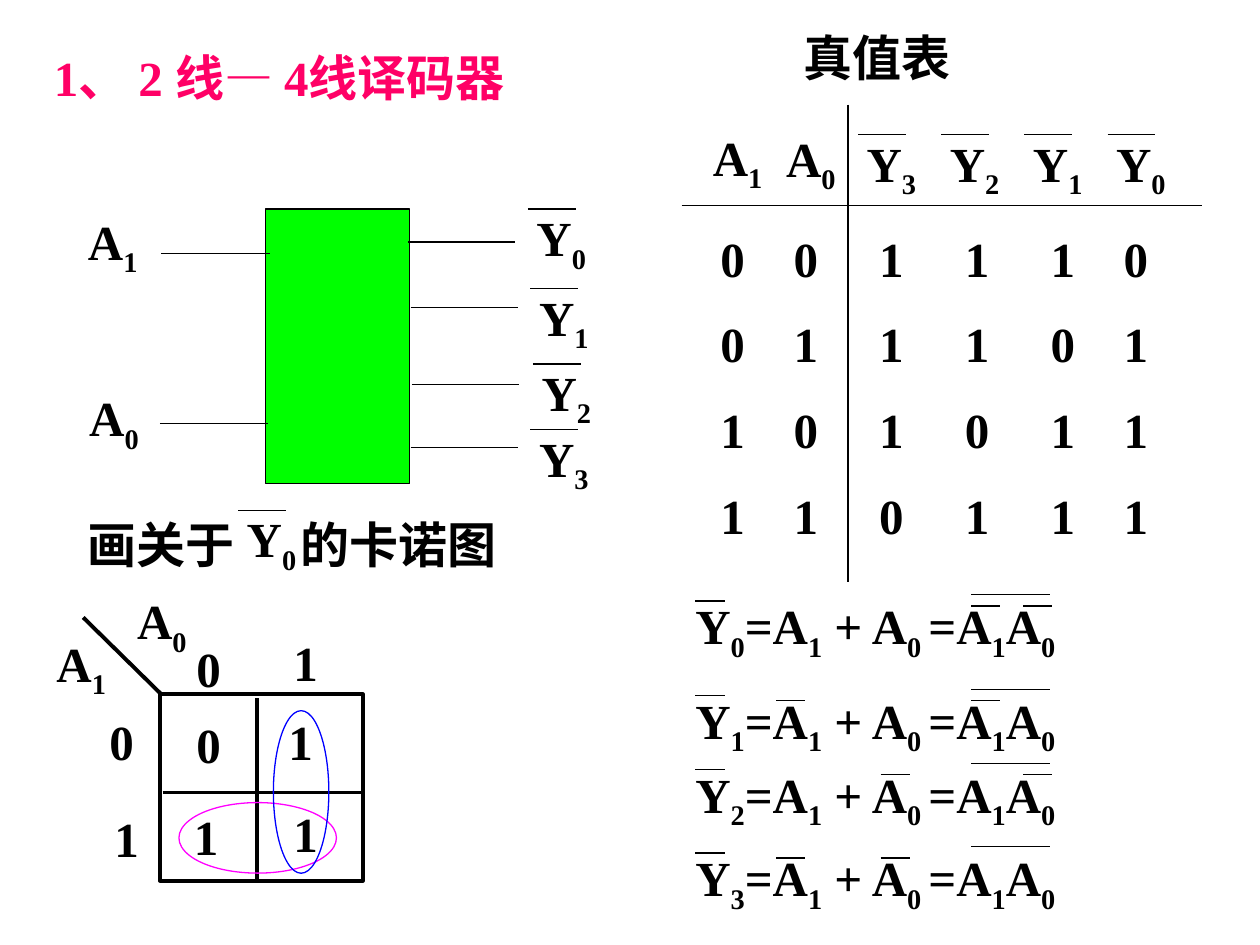
from lxml.etree import SubElement
from pptx import Presentation
from pptx.dml.color import RGBColor
from pptx.enum.shapes import MSO_CONNECTOR, MSO_SHAPE
from pptx.enum.text import MSO_ANCHOR, MSO_AUTO_SIZE
from pptx.oxml.ns import qn
from pptx.util import Inches, Pt

BLACK = RGBColor(0x00, 0x00, 0x00)
WHITE = RGBColor(0xFF, 0xFF, 0xFF)
GREEN = RGBColor(0x00, 0xFF, 0x00)
PINK = RGBColor(0xFF, 0x00, 0x66)
MAGENTA = RGBColor(0xFF, 0x00, 0xFF)
BLUE = RGBColor(0x00, 0x00, 0xFF)
THIN, THICK = 0.75, 2.25
FONT = {"name": "Times New Roman", "size": Pt(28), "bold": True}
FRAME = {"word_wrap": True, "auto_size": MSO_AUTO_SIZE.SHAPE_TO_FIT_TEXT}


def apply(target, values):
    for name, value in values.items():
        setattr(target, name, value)


class Sketch:
    def __init__(self, page):
        self.page = page

    def text(self, left, top, width, *rows, height=0.57, color=BLACK,
             anchor=MSO_ANCHOR.TOP, tabs=(), gap=0):
        box = self.page.shapes.add_textbox(
            Inches(left), Inches(top), Inches(width), Inches(height))
        frame = box.text_frame
        apply(frame, FRAME | {"vertical_anchor": anchor})
        for number, row in enumerate(rows):
            para = frame.add_paragraph() if number else frame.paragraphs[0]
            if number:
                para.space_before = Pt(gap)
            if tabs:
                stops = SubElement(para._p.get_or_add_pPr(), qn("a:tabLst"))
                for stop in tabs:
                    SubElement(stops, qn("a:tab"), pos=str(Inches(stop)), algn="l")
            for order, piece in enumerate(row.split("_")):
                if not piece:
                    continue
                span = para.add_run()
                span.text = piece
                apply(span.font, FONT)
                span.font.color.rgb = color
                if order % 2:
                    span._r.get_or_add_rPr().set("baseline", "-25000")

    def line(self, x1, y1, x2, y2, weight=THIN):
        rule = self.page.shapes.add_connector(
            MSO_CONNECTOR.STRAIGHT, Inches(x1), Inches(y1), Inches(x2), Inches(y2))
        rule.line.color.rgb = BLACK
        rule.line.width = Pt(weight)
        SubElement(rule._element.spPr, qn("a:effectLst"))

    def bar(self, x, y, length):
        self.line(x, y, x + length, y)

    def shape(self, kind, left, top, width, height, color, weight=THIN, fill=None):
        figure = self.page.shapes.add_shape(
            kind, Inches(left), Inches(top), Inches(width), Inches(height))
        figure.shadow.inherit = False
        figure.line.color.rgb = color
        figure.line.width = Pt(weight)
        if fill is None:
            figure.fill.background()
        else:
            figure.fill.solid()
            figure.fill.fore_color.rgb = fill

    def inverted(self, index, left, top):
        self.text(left, top, 0.73, f"Y_{index}")
        self.bar(left + 0.03, top + 0.06, 0.38)


def draw_decoder(sketch):
    sketch.shape(MSO_SHAPE.RECTANGLE, 2.11, 1.66, 1.14, 2.18, BLACK, fill=GREEN)
    for index, left, top, wire_x, wire_y in [
            (1, 0.6, 1.63, 1.28, 2.01), (0, 0.61, 3.03, 1.27, 3.36)]:
        sketch.text(left, top, 0.76, f"A_{index}")
        sketch.bar(wire_x, wire_y, 0.86)
    for index, left, top, wire_x, wire_y in [
            (0, 4.16, 1.6, 3.24, 1.92), (1, 4.18, 2.23, 3.26, 2.44),
            (2, 4.2, 2.83, 3.27, 3.05), (3, 4.18, 3.35, 3.26, 3.55)]:
        sketch.inverted(index, left, top)
        sketch.bar(wire_x, wire_y, 0.85)


def draw_truth_table(sketch):
    sketch.text(6.28, 0.17, 1.5, "真值表", anchor=MSO_ANCHOR.MIDDLE)
    sketch.text(5.56, 0.96, 0.76, "A_1")
    sketch.text(6.14, 0.97, 0.76, "A_0")
    for index, left in zip((3, 2, 1, 0), (6.78, 7.44, 8.1, 8.76)):
        sketch.inverted(index, left, 1.01)
    sketch.line(5.41, 1.63, 9.54, 1.63)
    sketch.line(6.73, 0.83, 6.73, 4.62)
    rows = ["\t".join(bits) for bits in ("001110", "011101", "101011", "110111")]
    sketch.text(5.62, 1.73, 4, *rows, height=2.67, anchor=MSO_ANCHOR.MIDDLE,
                tabs=(0.58, 1.26, 1.94, 2.62, 3.2), gap=15.4)


def draw_karnaugh_map(sketch):
    sketch.text(0.6, 4.03, 3.6, "画关于\t的卡诺图",
                anchor=MSO_ANCHOR.MIDDLE, tabs=(1.69,))
    sketch.inverted(0, 1.86, 3.99)
    sketch.shape(MSO_SHAPE.RECTANGLE, 1.27, 5.51, 1.61, 1.48, BLACK, THICK, WHITE)
    sketch.line(1.29, 6.29, 2.9, 6.29, THICK)
    sketch.line(2.04, 5.54, 2.04, 7, THICK)
    sketch.line(1.28, 5.51, 0.66, 4.9, THICK)
    sketch.text(0.35, 4.98, 0.76, "A_1")
    sketch.text(0.99, 4.64, 0.76, "A_0")
    for digit, left, top in [
            ("0", 1.46, 5.02), ("1", 2.23, 4.97),
            ("0", 0.77, 5.6), ("0", 1.46, 5.62), ("1", 2.19, 5.6),
            ("1", 0.81, 6.37), ("1", 1.44, 6.35), ("1", 2.23, 6.33)]:
        sketch.text(left, top, 0.5, digit)
    sketch.shape(MSO_SHAPE.OVAL, 1.42, 6.37, 1.25, 0.56, MAGENTA)
    sketch.shape(MSO_SHAPE.OVAL, 2.17, 5.64, 0.44, 1.29, BLUE)


def draw_equations(sketch):
    sum_a1, sum_a0, product_a1, product_a0 = 6.16, 6.99, 7.71, 8.12
    for index, (top, bars) in enumerate([
            (4.68, (product_a1, product_a0)), (5.43, (sum_a1, product_a1)),
            (6.02, (sum_a0, product_a0)), (6.68, (sum_a1, sum_a0))]):
        sketch.text(5.42, top, 3.25, f"Y_{index}_=A_1_ + A_0 _=A_1_A_0")
        sketch.bar(5.52, top + 0.09, 0.23)
        sketch.bar(product_a1, top + 0.04, 0.62)
        for left in bars:
            sketch.bar(left, top + 0.13, 0.23)


def main():
    deck = Presentation()
    apply(deck, {"slide_width": Inches(10), "slide_height": Inches(7.5)})
    sketch = Sketch(deck.slides.add_slide(deck.slide_layouts[6]))
    draw_decoder(sketch)
    draw_truth_table(sketch)
    draw_karnaugh_map(sketch)
    draw_equations(sketch)
    sketch.text(0.33, 0.33, 3.91, "1、 2 线— 4线译码器", color=PINK)
    deck.save("out.pptx")


if __name__ == "__main__":
    main()
